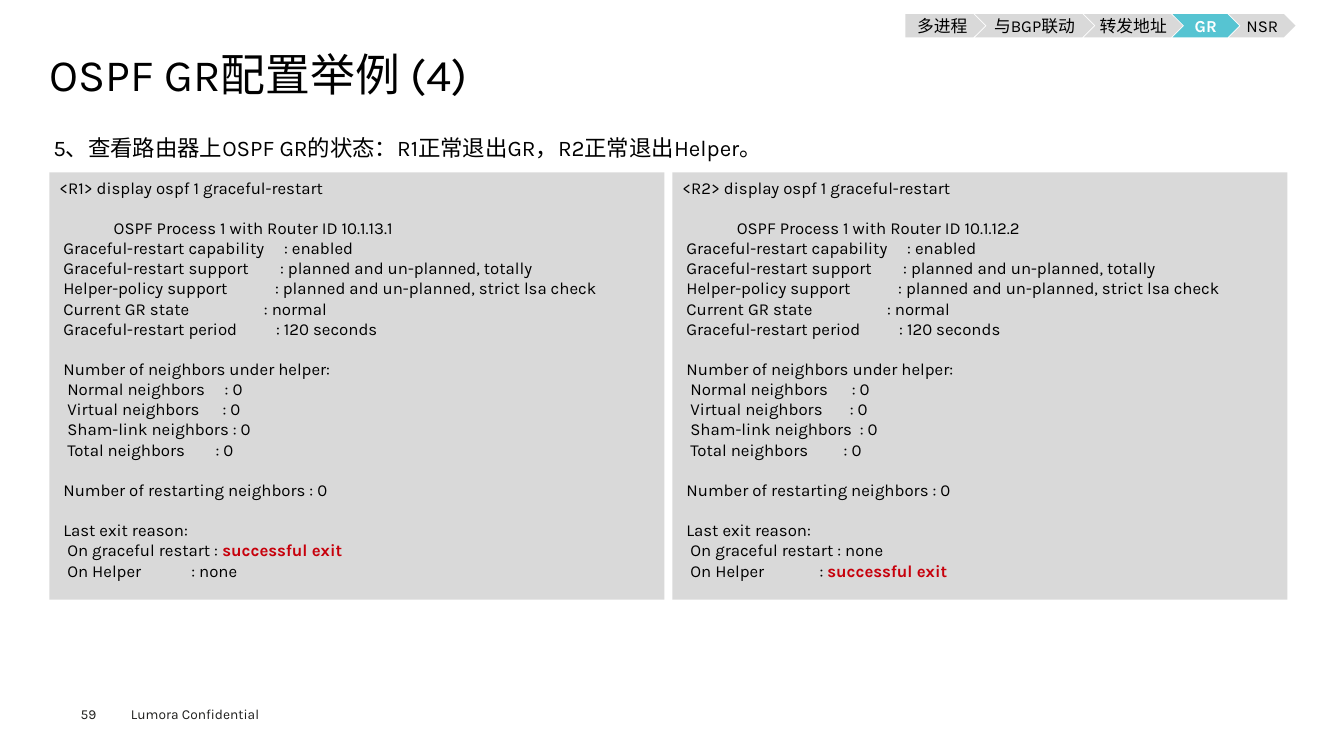
from dataclasses import dataclass

from lxml import etree
from pptx import Presentation
from pptx.dml.color import RGBColor
from pptx.enum import shapes, text
from pptx.oxml import ns
from pptx.util import Inches, Pt


@dataclass(frozen=True)
class Theme:
    font: str = "Karla"
    black: str = "000000"
    white: str = "FFFFFF"
    grey: str = "D9D9D9"
    teal: str = "56C4D2"
    red: str = "C7000B"
    footer: str = "1D1D1B"
    title_size: float = 32
    lead_size: float = 16
    body_size: float = 12
    footer_size: float = 9.8
    console_line: float = 14.4


@dataclass(frozen=True)
class Step:
    label: str
    width: float
    active: bool = False


@dataclass(frozen=True)
class Line:
    """A console line; stop is where the colon stands, 0 for right after the label."""
    label: str
    value: str = ""
    stop: float = 0
    gap: bool = False


@dataclass(frozen=True)
class Router:
    name: str
    router_id: str
    neighbor_stops: tuple[float, ...]
    restart_exit: str
    helper_exit: str
    helper_stop: float


THEME = Theme()
SUCCESS = "successful exit"
STEPS = (
    Step("多进程", 0.79),
    Step("与BGP联动", 1.18),
    Step("转发地址", 0.98),
    Step("GR", 0.66, active=True),
    Step("NSR", 0.66),
)
STEP_LEFT, STEP_OVERLAP = 8.98, 0.1
ROUTERS = (
    Router("R1", "10.1.13.1", (1.64, 1.62, 0, 1.55), SUCCESS, "none", 1.31),
    Router("R2", "10.1.12.2", (1.68, 1.66, 1.76, 1.6), "none", SUCCESS, 1.36),
)
PANEL_LEFT, PANEL_WIDTH, PANEL_PITCH = 0.49, 6.1, 6.18


def console_lines(router: Router) -> list[Line]:
    kinds = ("Normal", "Virtual", "Sham-link", "Total")
    return [
        Line(f"<{router.name}> display ospf 1 graceful-restart"),
        Line(f"\t OSPF Process 1 with Router ID {router.router_id}", gap=True),
        Line(" Graceful-restart capability", "enabled", 2.23),
        Line(" Graceful-restart support", "planned and un-planned, totally", 2.19),
        Line(" Helper-policy support", "planned and un-planned, strict lsa check", 2.14),
        Line(" Current GR state", "normal", 2.03),
        Line(" Graceful-restart period", "120 seconds", 2.15),
        Line(" Number of neighbors under helper:", gap=True),
        *(Line(f"  {kind} neighbors", "0", stop)
          for kind, stop in zip(kinds, router.neighbor_stops)),
        Line(" Number of restarting neighbors", "0", gap=True),
        Line(" Last exit reason:", gap=True),
        Line("  On graceful restart", router.restart_exit),
        Line("  On Helper", router.helper_exit, router.helper_stop),
    ]


def add_text(p, content: str, *, size: float = THEME.body_size,
             color: str = THEME.black, bold: bool = False) -> None:
    r = p.add_run()
    r.text = content
    r.font.name = THEME.font
    r.font.size = Pt(size)
    r.font.bold = bold
    r.font.color.rgb = RGBColor.from_string(color)


def clear_insets(tf) -> None:
    tf.margin_left = tf.margin_right = tf.margin_top = tf.margin_bottom = 0


def add_label(slide, left: float, top: float, width: float, height: float,
              content: str, *, inset: bool = True, **style) -> None:
    sp = slide.shapes.add_textbox(Inches(left), Inches(top), Inches(width), Inches(height))
    tf = sp.text_frame
    tf.word_wrap = True
    if not inset:
        clear_insets(tf)
    add_text(tf.paragraphs[0], content, **style)


def add_block(slide, kind, left: float, top: float, width: float, height: float, fill: str):
    sp = slide.shapes.add_shape(kind, Inches(left), Inches(top), Inches(width), Inches(height))
    sp.shadow.inherit = False
    sp.fill.solid()
    sp.fill.fore_color.rgb = RGBColor.from_string(fill)
    sp.line.fill.background()
    return sp


def add_title(slide, content: str) -> None:
    sp = slide.shapes.title
    sp.left, sp.top, sp.width, sp.height = (Inches(v) for v in (0.49, 0.49, 12.35, 0.54))
    tf = sp.text_frame
    clear_insets(tf)
    tf.vertical_anchor = text.MSO_ANCHOR.MIDDLE
    p = tf.paragraphs[0]
    p.alignment = text.PP_ALIGN.LEFT
    p.line_spacing = 0.9
    add_text(p, content, size=THEME.title_size)


def add_tab_stop(p, inches: float) -> None:
    tabs = etree.SubElement(p._p.get_or_add_pPr(), ns.qn("a:tabLst"))
    etree.SubElement(tabs, ns.qn("a:tab"), pos=str(Inches(inches)), algn="l")


def add_console(slide, left: float, router: Router) -> None:
    sp = add_block(slide, shapes.MSO_SHAPE.RECTANGLE, left, 1.71, PANEL_WIDTH, 4.24, THEME.grey)
    tf = sp.text_frame
    tf.word_wrap = True
    tf.vertical_anchor = text.MSO_ANCHOR.TOP
    for i, line in enumerate(console_lines(router)):
        p = tf.add_paragraph() if i else tf.paragraphs[0]
        p.alignment = text.PP_ALIGN.LEFT
        if line.gap:
            p.space_before = Pt(THEME.console_line)
        if line.stop:
            add_tab_stop(p, line.stop)
        if not line.value:
            add_text(p, line.label)
            continue
        add_text(p, line.label + ("\t: " if line.stop else " : "))
        success = line.value == SUCCESS
        add_text(p, line.value, bold=success, color=THEME.red if success else THEME.black)


def add_steps(slide) -> None:
    left = STEP_LEFT
    for i, step in enumerate(STEPS):
        kind = shapes.MSO_SHAPE.CHEVRON if i else shapes.MSO_SHAPE.PENTAGON
        sp = add_block(slide, kind, left, 0.14, step.width, 0.23,
                       THEME.teal if step.active else THEME.grey)
        tf = sp.text_frame
        clear_insets(tf)
        tf.vertical_anchor = text.MSO_ANCHOR.MIDDLE
        p = tf.paragraphs[0]
        p.alignment = text.PP_ALIGN.CENTER
        add_text(p, step.label, bold=step.active,
                 color=THEME.white if step.active else THEME.black)
        left += step.width - STEP_OVERLAP


def main() -> None:
    prs = Presentation()
    prs.slide_width, prs.slide_height = Inches(13.33), Inches(7.5)
    slide = prs.slides.add_slide(prs.slide_layouts.get_by_name("Title Only"))
    footer = {"size": THEME.footer_size, "color": THEME.footer}
    add_label(slide, 1.2, 6.95, 1.6, 0.27, "Lumora Confidential", **footer)
    add_label(slide, 0.8, 7, 0.55, 0.16, "59", inset=False, **footer)
    add_title(slide, "OSPF GR配置举例 (4)")
    add_label(slide, 0.43, 1.28, 12.42, 0.37,
              "5、查看路由器上OSPF GR的状态：R1正常退出GR，R2正常退出Helper。",
              size=THEME.lead_size)
    for i, router in enumerate(ROUTERS):
        add_console(slide, PANEL_LEFT + i * PANEL_PITCH, router)
    add_steps(slide)
    prs.save("out.pptx")


if __name__ == "__main__":
    main()
